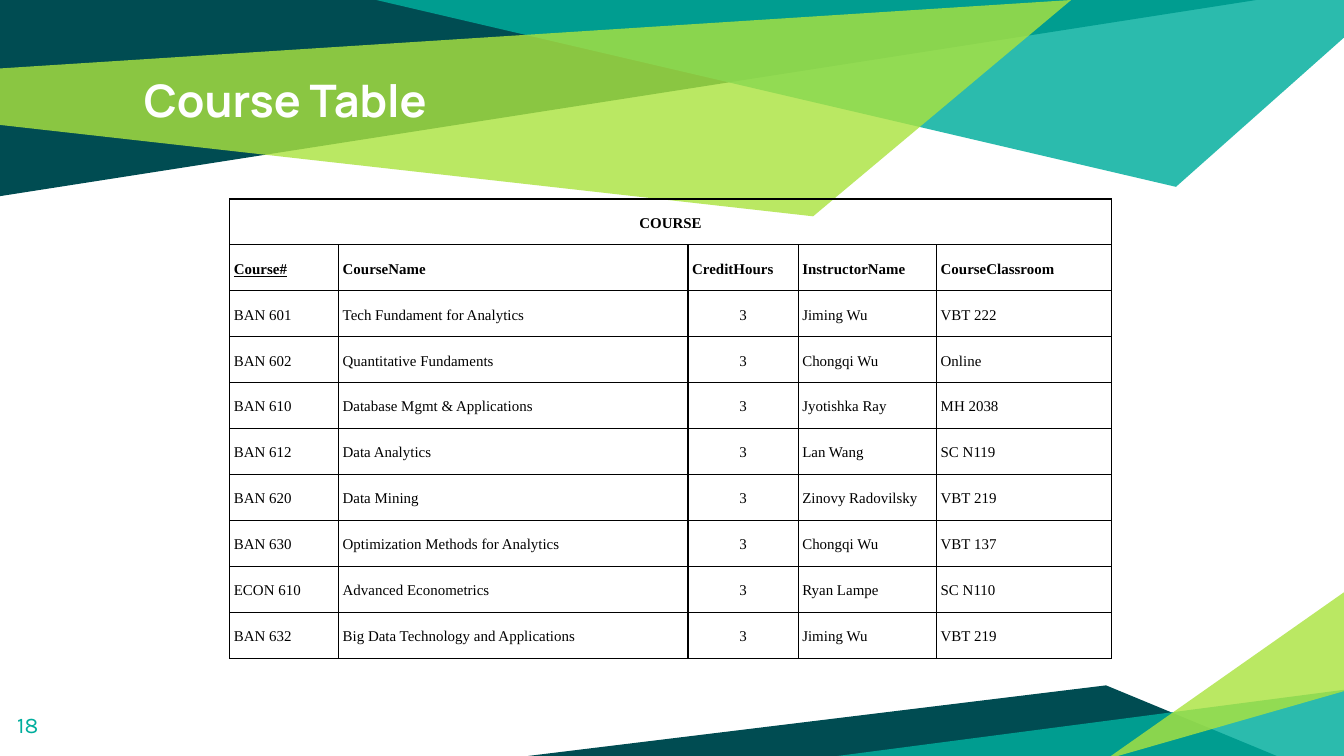
from dataclasses import dataclass

from lxml import etree
from pptx import Presentation
from pptx import util as u
from pptx.dml.color import RGBColor
from pptx.enum import text
from pptx.oxml import ns


@dataclass(frozen=True)
class Theme:
    navy: str = "004C52"
    teal: str = "00AE9D"
    lime: str = "ABE33F"
    white: str = "FFFFFF"
    black: str = "000000"
    title_size: int = 24
    number_size: int = 12
    table_size: int = 8
    border_width: float = 0.75


theme = Theme()
WIDTH = 10
HEIGHT = WIDTH * 9 / 16


def style_font(font, name, size, color, bold=False):
    font.name, font.size, font.bold = name, u.Pt(size), bold
    font.color.rgb = RGBColor.from_string(color)


def add_border(cell):
    properties = cell._tc.get_or_add_tcPr()
    for side in ("lnL", "lnR", "lnT", "lnB"):
        line = etree.SubElement(properties, ns.qn(f"a:{side}"), w=str(u.Pt(theme.border_width)))
        fill = etree.SubElement(line, ns.qn("a:solidFill"))
        etree.SubElement(fill, ns.qn("a:srgbClr"), val=theme.black)


deck = Presentation()
deck.slide_width, deck.slide_height = u.Inches(WIDTH), u.Inches(HEIGHT)
page = deck.slides.add_slide(deck.slide_layouts[5])

# Angular bands at the top and in the bottom right corner: colour, opacity %, corners
bands = [
    (theme.navy, 100, [(0, 0), (0, 1.46), (9.35, 0)]),
    (theme.teal, 83, [(2.8, 0), (8.75, 1.39), (WIDTH, 0.28), (WIDTH, 0)]),
    (theme.lime, 81, [(-0.01, 0.51), (0, 0.93), (6.05, 1.61), (7.97, 0)]),
    (theme.navy, 100, [(3.93, HEIGHT), (9.5, HEIGHT), (8.23, 5.1)]),
    (theme.teal, 83, [(10.02, 5.13), (10.02, 5.65), (6.04, 5.65)]),
    (theme.lime, 81, [(10.01, 5.14), (10.01, 4.4), (8.23, 5.65)]),
]
for color, opacity, corners in bands:
    points = [(u.Inches(x), u.Inches(y)) for x, y in corners]
    builder = page.shapes.build_freeform(*points[0])
    builder.add_line_segments(points[1:], close=True)
    band = builder.convert_to_shape()
    band.shadow.inherit = False
    band.line.fill.background()
    band.fill.solid()
    band.fill.fore_color.rgb = RGBColor.from_string(color)
    if opacity < 100:
        tint = band._element.spPr.find(".//" + ns.qn("a:srgbClr"))
        etree.SubElement(tint, ns.qn("a:alpha"), val=str(opacity * 1000))

# Title, brought in front of the bands, and page number
title = page.shapes.title
page.shapes._spTree.append(title._element)
title.left, title.top = u.Inches(0.97), u.Inches(0.44)
title.width, title.height = u.Inches(8.06), u.Inches(0.94)
number = page.shapes.add_textbox(u.Inches(0.03), u.Inches(5.19), u.Inches(0.6), u.Inches(0.43))
for box, words, name, size, color, bold in (
    (title, "Course Table", "Manrope", theme.title_size, theme.white, True),
    (number, "18", "Karla", theme.number_size, theme.teal, False),
):
    frame = box.text_frame
    frame.word_wrap = True
    frame.auto_size = text.MSO_AUTO_SIZE.NONE
    frame.vertical_anchor = text.MSO_ANCHOR.TOP
    frame.margin_left = frame.margin_right = u.Inches(0.1)
    frame.margin_top = frame.margin_bottom = u.Inches(0.1)
    frame.text = words
    para = frame.paragraphs[0]
    para.alignment = text.PP_ALIGN.LEFT
    style_font(para.font, name, size, color, bold)

# Course table; the rows grow to fit their text and margins
rows = [
    ("COURSE", "", "", "", ""),
    ("Course#", "CourseName", "CreditHours", "InstructorName", "CourseClassroom"),
    ("BAN 601", "Tech Fundament for Analytics", "3", "Jiming Wu", "VBT 222"),
    ("BAN 602", "Quantitative Fundaments", "3", "Chongqi Wu", "Online"),
    ("BAN 610", "Database Mgmt & Applications", "3", "Jyotishka Ray", "MH 2038"),
    ("BAN 612", "Data Analytics", "3", "Lan Wang", "SC N119"),
    ("BAN 620", "Data Mining", "3", "Zinovy Radovilsky", "VBT 219"),
    ("BAN 630", "Optimization Methods for Analytics", "3", "Chongqi Wu", "VBT 137"),
    ("ECON 610", "Advanced Econometrics", "3", "Ryan Lampe", "SC N110"),
    ("BAN 632", "Big Data Technology and Applications", "3", "Jiming Wu", "VBT 219"),
]
widths = [0.81, 2.6, 0.82, 1.03, 1.3]
row_height = 0.21
table = page.shapes.add_table(
    len(rows), len(widths), u.Inches(1.71), u.Inches(1.48),
    u.Inches(sum(widths)), u.Inches(row_height * len(rows)),
).table
table.first_row = table.horz_banding = False
for column, width in zip(table.columns, widths):
    column.width = u.Inches(width)

for r, values in enumerate(rows):
    table.rows[r].height = u.Inches(row_height)
    for c, value in enumerate(values):
        cell = table.cell(r, c)
        add_border(cell)
        cell.fill.background()
        cell.margin_left = cell.margin_right = u.Inches(0.03)
        cell.margin_top = cell.margin_bottom = u.Inches(0.1)
        cell.vertical_anchor = text.MSO_ANCHOR.MIDDLE if r == 0 else text.MSO_ANCHOR.BOTTOM
        cell.text = value
        para = cell.text_frame.paragraphs[0]
        para.line_spacing = 1.15
        centered = r == 0 or (r > 1 and c == 2)
        para.alignment = text.PP_ALIGN.CENTER if centered else text.PP_ALIGN.LEFT
        style_font(para.font, "Times New Roman", theme.table_size, theme.black, bold=r < 2)
table.cell(0, 0).merge(table.cell(0, len(widths) - 1))
table.cell(1, 0).text_frame.paragraphs[0].font.underline = True  # primary key

deck.save("out.pptx")
